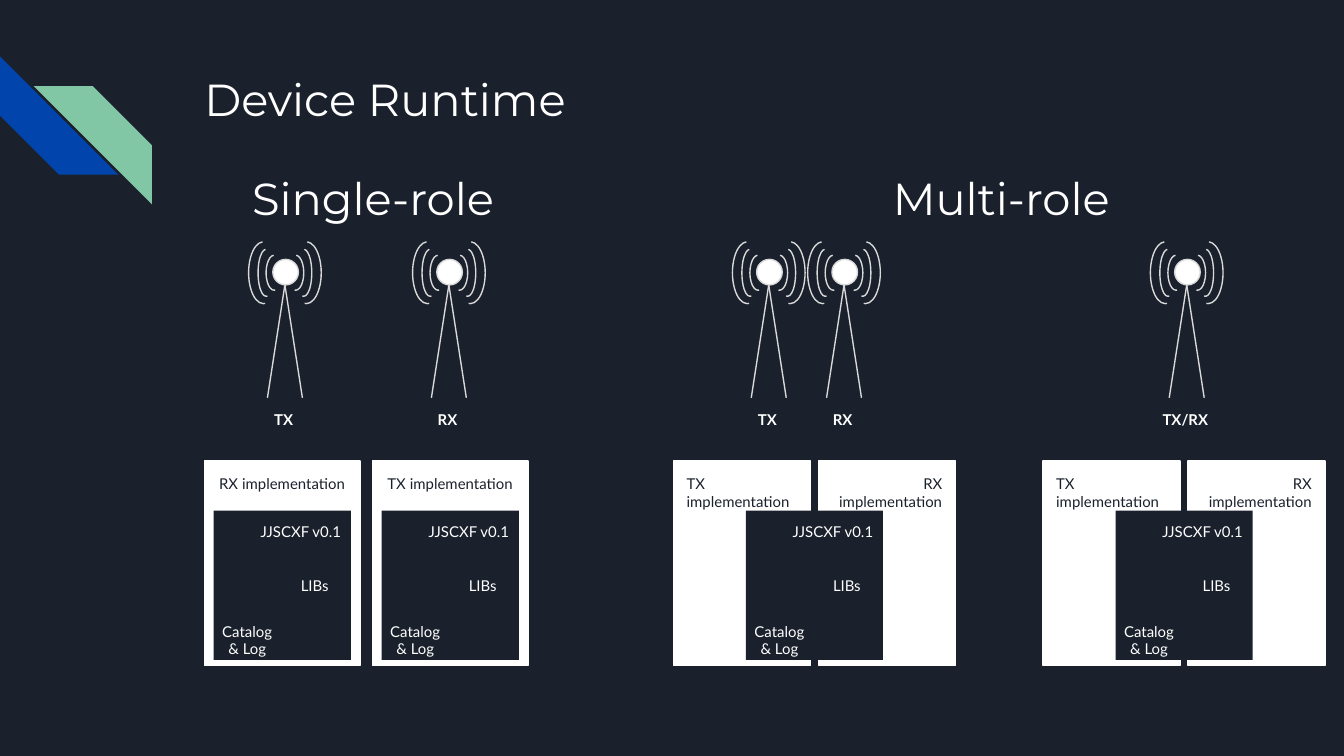
import pptx
import pptx.dml.color
import pptx.enum.shapes
import pptx.enum.text
import pptx.oxml
import pptx.util

Inches = pptx.util.Inches
Pt = pptx.util.Pt
RGBColor = pptx.dml.color.RGBColor
MSO_SHAPE = pptx.enum.shapes.MSO_SHAPE
MSO_AUTO_SIZE = pptx.enum.text.MSO_AUTO_SIZE
LEFT = pptx.enum.text.PP_ALIGN.LEFT
CENTER = pptx.enum.text.PP_ALIGN.CENTER
RIGHT = pptx.enum.text.PP_ALIGN.RIGHT

NAVY = RGBColor(0x1B, 0x21, 0x2C)
WHITE = RGBColor(0xFF, 0xFF, 0xFF)
GREY = RGBColor(0xD9, 0xD9, 0xD9)
BLUE = RGBColor(0x01, 0x45, 0xAC)
GREEN = RGBColor(0x82, 0xC7, 0xA5)

TITLE = "Device Runtime"
HEADINGS = [("Single-role", 1.75, 2.05), ("Multi-role", 6.21, 2.48)]
ANTENNAS = [
    ("TX", 2.12, 0.35),
    ("RX", 3.34, 0.43),
    ("TX", 5.72, 0.35),
    ("RX", 6.28, 0.43),
    ("TX/RX", 8.83, 0.54),
]
WAVES = [(0.14, 0.12, 0.26), (0.2, 0.12, 0.35), (0.27, 0.22, 0.46)]
WAVE_Y = 2.03
SINGLE_DEVICES = [(1.52, "RX implementation"), (2.77, "TX implementation")]
MULTI_DEVICES = [5.01, 7.76]
MULTI_PANELS = [(0, "TX implementation", LEFT), (1.08, "RX implementation", RIGHT)]
CORE_LABELS = [
    ("JJSCXF v0.1", 0.25, 0.02, 0.88, 0.34, LEFT),
    ("LIBs", 0.55, 0.42, 0.43, 0.34, LEFT),
    ("Catalog\n& Log", -0.07, 0.73, 0.64, 0.47, CENTER),
]
PANEL_Y, PANEL_H = 3.43, 1.52
CORE_Y, CORE_W, CORE_H = 3.8, 1.02, 1.11

prs = pptx.Presentation()
prs.slide_width = Inches(10)
prs.slide_height = prs.slide_width * 9 // 16
slide = prs.slides.add_slide(prs.slide_layouts[5])
slide.background.fill.solid()
slide.background.fill.fore_color.rgb = NAVY


def write(sp, text, size=8, font="Lato", color=WHITE, bold=False, align=LEFT,
          fit=MSO_AUTO_SIZE.NONE):
    tf = sp.text_frame
    tf.word_wrap = True
    tf.auto_size = fit
    tf.vertical_anchor = pptx.enum.text.MSO_ANCHOR.TOP
    tf.margin_left = tf.margin_right = tf.margin_top = tf.margin_bottom = Inches(0.1)
    for i, line in enumerate(text.split("\n")):
        p = tf.add_paragraph() if i else tf.paragraphs[0]
        p.alignment = align
        r = p.add_run()
        r.text = line
        r.font.size, r.font.name, r.font.bold = Pt(size), font, bold
        r.font.color.rgb = color


def box(x, y, w, h):
    return [Inches(v) for v in (x, y, w, h)]


def add_label(text, x, y, w, h, **fmt):
    sp = slide.shapes.add_textbox(*box(x, y, w, h))
    write(sp, text, fit=MSO_AUTO_SIZE.SHAPE_TO_FIT_TEXT, **fmt)


def add_shape(kind, x, y, w, h, fill=None, line=None, flip=False):
    sp = slide.shapes.add_shape(kind, *box(x, y, w, h))
    sp.shadow.inherit = False
    if fill is None:
        sp.fill.background()
    else:
        sp.fill.solid()
        sp.fill.fore_color.rgb = fill
    if line is None:
        sp.line.fill.background()
    else:
        sp.line.color.rgb = line
        sp.line.width = Pt(0.75)
    if flip:
        sp.element.spPr.xfrm.set("flipH", "1")
    return sp


def add_antenna(label, cx, label_w):
    for dx in (0.13, -0.13):
        leg = slide.shapes.add_connector(
            pptx.enum.shapes.MSO_CONNECTOR.STRAIGHT, *box(cx, 2.12, cx + dx, 2.96))
        leg.line.color.rgb = GREY
        leg.line.width = Pt(0.75)
        leg.element.spPr.append(pptx.oxml.parse_xml(
            '<a:effectLst xmlns:a="http://schemas.openxmlformats.org/drawingml/2006/main"/>'))
    add_shape(MSO_SHAPE.OVAL, cx - 0.09, 1.93, 0.19, 0.19, WHITE, GREY)
    for reach, w, h in WAVES:
        for x, flip in ((cx - reach, False), (cx + reach - w, True)):
            arc = add_shape(MSO_SHAPE.ARC, x, WAVE_Y - h / 2, w, h, line=GREY, flip=flip)
            arc.adjustments[0], arc.adjustments[1] = 51.97, 161.01
    add_label(label, cx - label_w / 2 - 0.01, 2.99, label_w, 0.34, bold=True, align=CENTER)


def add_panel(text, x, w, align):
    sp = add_shape(MSO_SHAPE.RECTANGLE, x, PANEL_Y, w, PANEL_H, WHITE, WHITE)
    write(sp, text, color=NAVY, align=align)


def add_core(x):
    add_shape(MSO_SHAPE.RECTANGLE, x, CORE_Y, CORE_W, CORE_H, NAVY)
    for text, dx, dy, w, h, align in CORE_LABELS:
        add_label(text, x + dx, CORE_Y + dy, w, h, align=align)


stripe = add_shape(MSO_SHAPE.DIAGONAL_STRIPE, 0, 0.42, 0.88, 0.88, BLUE)
stripe.rotation = 270
add_shape(MSO_SHAPE.DIAGONAL_STRIPE, 0.25, 0.64, 0.88, 0.88, GREEN, flip=True)

title = slide.shapes.title
title.left, title.top, title.width, title.height = box(1.42, 0.43, 8.42, 1)
write(title, TITLE, size=24, font="Montserrat")
for text, x, w in HEADINGS:
    add_label(text, x, 1.17, w, 0.61, size=24, font="Montserrat", align=CENTER)

for antenna in ANTENNAS:
    add_antenna(*antenna)
for x, text in SINGLE_DEVICES:
    add_panel(text, x, 1.16, CENTER)
    add_core(x + 0.07)
for x in MULTI_DEVICES:
    for dx, text, align in MULTI_PANELS:
        add_panel(text, x + dx, 1.02, align)
    add_core(x + 0.54)

prs.save("out.pptx")
